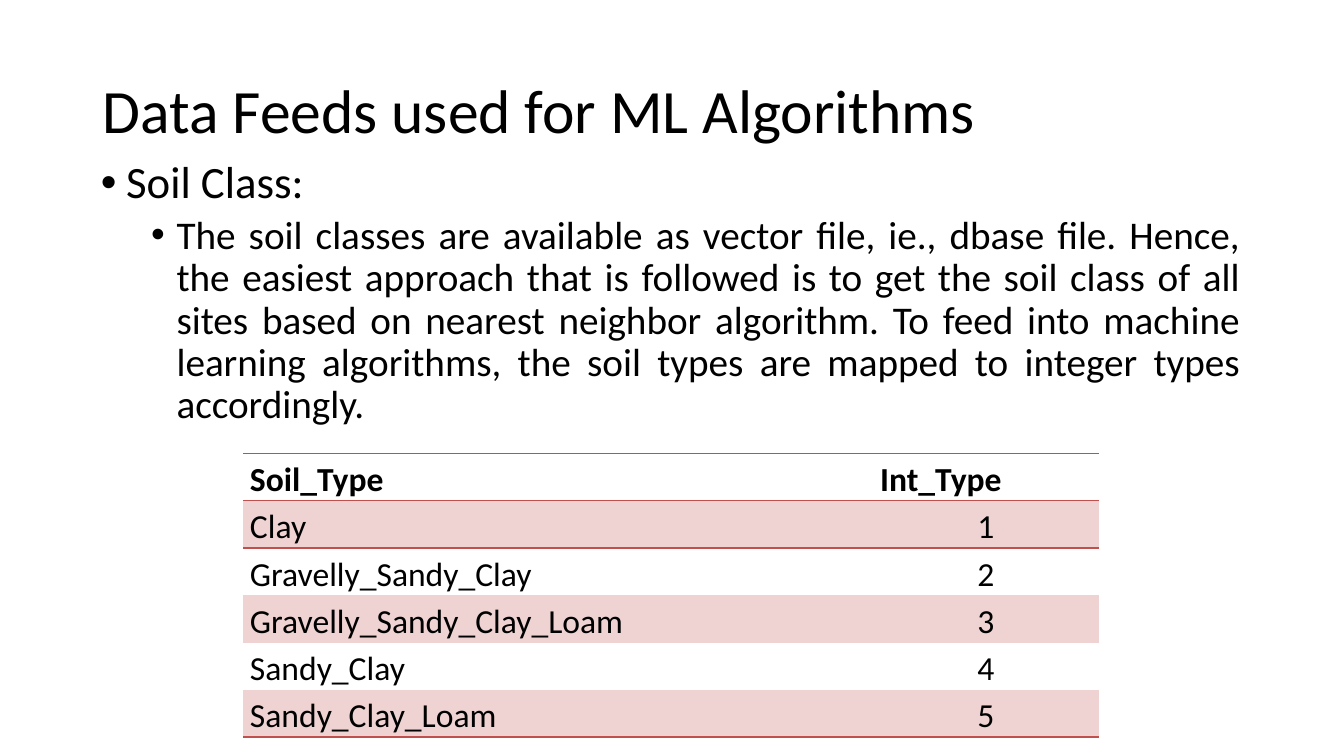
"""Build the slide on soil class data feeds for ML algorithms."""
from lxml import etree
from pptx import Presentation
from pptx.dml.color import RGBColor
from pptx.enum.text import MSO_ANCHOR, MSO_AUTO_SIZE, PP_ALIGN
from pptx.oxml.ns import qn
from pptx.util import Cm, Pt

LEFT, CENTER, JUSTIFY = PP_ALIGN.LEFT, PP_ALIGN.CENTER, PP_ALIGN.JUSTIFY
TOP, MIDDLE = MSO_ANCHOR.TOP, MSO_ANCHOR.MIDDLE
NO_FIT = MSO_AUTO_SIZE.NONE
TITLE_ONLY = 5
FONT = "Calibri"
COLORS = {"text": "000000", "rule": "C0504D", "band": "EFD3D2"}
PLAIN_TABLE_STYLE = "{2D5ABB26-0587-4C30-8999-92F81FD0307C}"

TITLE = "Data Feeds used for ML Algorithms"
BULLETS = [
    ("Soil Class:", {"size": 32, "before": 10, "indent": 0.64}),
    ("The soil classes are available as vector file, ie., dbase file. Hence, "
     "the easiest approach that is followed is to get the soil class of all "
     "sites based on nearest neighbor algorithm. To feed into machine learning "
     "algorithms, the soil types are mapped to integer types accordingly.",
     {"size": 28, "before": 5, "indent": 1.91}),
]
HEADER = ("Soil_Type", "Int_Type")
SOIL_TYPES = ["Clay", "Gravelly_Sandy_Clay", "Gravelly_Sandy_Clay_Loam",
              "Sandy_Clay", "Sandy_Clay_Loam"]

PAGE_SIZE = (33.87, 19.05)
TITLE_BOX = (2.33, 1.02, 29.21, 3.68)
BODY_BOX = (2.29, 3.91, 29.21, 12.62)
TABLE_CORNER = (6.12, 11.43)
COLUMN_WIDTHS = (15.88, 5.69)
ROW_HEIGHT = 1.19
CELL_MARGIN = 0.18
HANGING = 0.64


def write(para, text, size, align=LEFT, bold=False, spacing=0.9, before=0, indent=None):
    """Put formatted text in a paragraph, with a hanging bullet when indented."""
    para.alignment = align
    para.line_spacing = spacing
    para.space_before = Pt(before)
    span = para.add_run()
    span.text = text
    span.font.name = FONT
    span.font.size = Pt(size)
    span.font.bold = bold
    span.font.color.rgb = RGBColor.from_string(COLORS["text"])
    if indent is not None:
        properties = para._p.get_or_add_pPr()
        properties.set("marL", str(Cm(indent)))
        properties.set("indent", str(-Cm(HANGING)))
        etree.SubElement(properties, qn("a:buFont")).set("typeface", "Arial")
        etree.SubElement(properties, qn("a:buChar")).set("char", "•")


def add_rules(cell, sides):
    """Draw one-point horizontal rules on the given sides of a cell."""
    properties = cell._tc.get_or_add_tcPr()
    for position, side in enumerate(sides):
        line = etree.Element(qn(f"a:ln{side}"), w=str(Pt(1)))
        fill = etree.SubElement(line, qn("a:solidFill"))
        etree.SubElement(fill, qn("a:srgbClr")).set("val", COLORS["rule"])
        properties.insert(position, line)


def add_title(page):
    """Fill and place the title."""
    title = page.shapes.title
    title.left, title.top, title.width, title.height = map(Cm, TITLE_BOX)
    frame = title.text_frame
    frame.auto_size = NO_FIT
    frame.vertical_anchor = MIDDLE
    write(frame.paragraphs[0], TITLE, size=44)


def add_body(page):
    """Add the bulleted explanation."""
    frame = page.shapes.add_textbox(*map(Cm, BODY_BOX)).text_frame
    frame.word_wrap = True
    frame.auto_size = NO_FIT
    for number, (text, style) in enumerate(BULLETS):
        para = frame.add_paragraph() if number else frame.paragraphs[0]
        write(para, text, align=JUSTIFY, **style)


def add_soil_table(page):
    """Add the table that maps soil types to integers."""
    rows = [HEADER] + [(soil, str(number)) for number, soil in enumerate(SOIL_TYPES, 1)]
    size = (sum(COLUMN_WIDTHS), ROW_HEIGHT * len(rows))
    table = page.shapes.add_table(
        len(rows), len(HEADER), *map(Cm, TABLE_CORNER + size)).table
    table.first_row = table.horz_banding = False
    table._tbl.tblPr.find(qn("a:tableStyleId")).text = PLAIN_TABLE_STYLE
    for column, width in zip(table.columns, COLUMN_WIDTHS):
        column.width = Cm(width)
    rules = {0: "TB", 1: "T", len(rows) - 1: "B"}
    for row, values in enumerate(rows):
        table.rows[row].height = Cm(ROW_HEIGHT)
        for column, value in enumerate(values):
            cell = table.cell(row, column)
            cell.margin_left = cell.margin_right = Cm(CELL_MARGIN)
            cell.margin_top = cell.margin_bottom = 0
            cell.vertical_anchor = TOP
            if row % 2:
                cell.fill.solid()
                cell.fill.fore_color.rgb = RGBColor.from_string(COLORS["band"])
            else:
                cell.fill.background()
            add_rules(cell, rules.get(row, ""))
            write(cell.text_frame.paragraphs[0], value, size=24, spacing=1.15,
                  bold=row == 0, align=CENTER if row and column else LEFT)


def main():
    """Build and save the deck."""
    deck = Presentation()
    deck.slide_width, deck.slide_height = map(Cm, PAGE_SIZE)
    page = deck.slides.add_slide(deck.slide_layouts[TITLE_ONLY])
    add_title(page)
    add_body(page)
    add_soil_table(page)
    deck.save("out.pptx")


if __name__ == "__main__":
    main()
